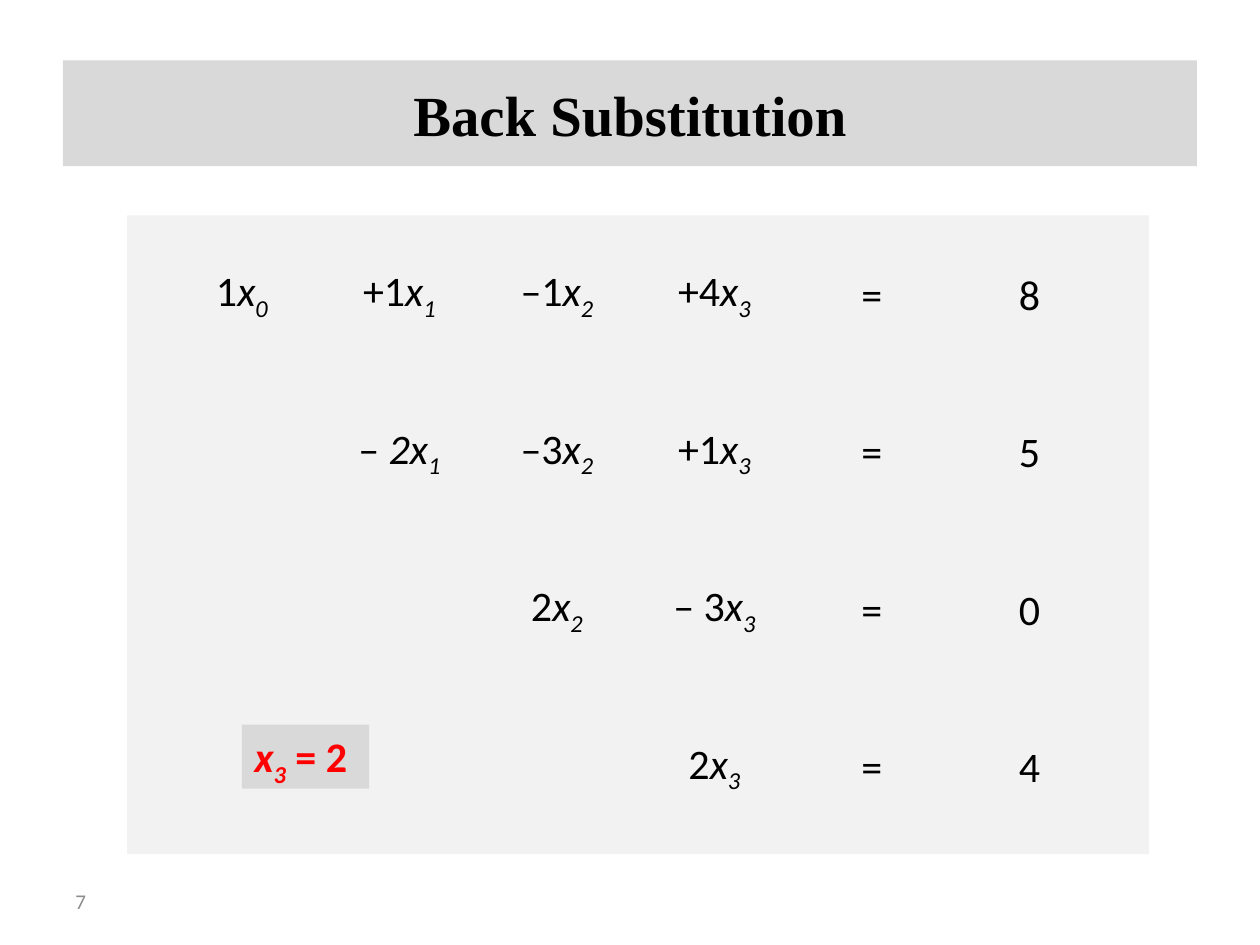
from dataclasses import dataclass

from pptx import Presentation
from pptx import util as u
from pptx.dml.color import RGBColor
from pptx.enum import shapes, text


@dataclass(frozen=True)
class Theme:
    """Colours, fonts and type sizes of the slide."""
    panel: str = "F2F2F2"
    band: str = "D9D9D9"
    ink: str = "000000"
    muted: str = "8C8C8C"
    accent: str = "FF0000"
    heading: str = "Times New Roman"
    body: str = "Calibri"
    title_size: float = 32.4
    body_size: float = 24
    number_size: float = 12


THEME = Theme()
EQUATIONS = [
    [("1", "x", "0"), ("+1", "x", "1"), ("–1", "x", "2"), ("+4", "x", "3"), ("=",), ("8",)],
    [None, ("–", " 2x", "1"), ("–3", "x", "2"), ("+1", "x", "3"), ("=",), ("5",)],
    [None, None, ("2", "x", "2"), ("– 3", "x", "3"), ("=",), ("0",)],
    [None, None, None, ("2", "x", "3"), ("=",), ("4",)],
]


def add_rect(slide, box, color):
    """Add a plain filled rectangle and return it."""
    sp = slide.shapes.add_shape(shapes.MSO_SHAPE.RECTANGLE, *map(u.Inches, box))
    sp.shadow.inherit = False
    sp.fill.solid()
    sp.fill.fore_color.rgb = RGBColor.from_string(color)
    sp.line.fill.background()
    return sp


def add_text_box(slide, box):
    """Add an empty text box and return it."""
    return slide.shapes.add_textbox(*map(u.Inches, box))


def write(sp, parts, size=THEME.body_size, font=THEME.body, color=THEME.ink, bold=False,
          align=text.PP_ALIGN.CENTER, anchor=text.MSO_ANCHOR.MIDDLE, wrap=True):
    """Write (text, italic, subscript) parts as one paragraph in a shape."""
    tf = sp.text_frame
    tf.word_wrap = wrap
    tf.vertical_anchor = anchor
    p = tf.paragraphs[0]
    p.alignment = align
    for content, italic, subscript in parts:
        r = p.add_run()
        r.text = content
        r.font.size = u.Pt(size)
        r.font.name = font
        r.font.bold = bold
        r.font.italic = italic
        r.font.color.rgb = RGBColor.from_string(color)
        if subscript:
            r.font._element.set("baseline", "-25000")


def plain(content):
    """Return one upright part."""
    return [(content, False, False)]


def term(coefficient, variable="", index=""):
    """Return the parts of a term with an italic variable and its index."""
    parts = plain(coefficient)
    if variable:
        parts += [(variable, True, False), (index, True, True)]
    return parts


def add_title(slide, box):
    """Draw the title band."""
    write(add_rect(slide, box, THEME.band), plain("Back Substitution"),
          size=THEME.title_size, font=THEME.heading, bold=True)


def add_system(slide, box, equations, pitch=1.25, cell=1):
    """Draw the panel and set the equations on an even grid within it."""
    add_rect(slide, box, THEME.panel)
    left, top = box[0] + 0.41, box[1] + 0.12
    for row, equation in enumerate(equations):
        for column, entry in enumerate(equation):
            if entry:
                place = (left + column * pitch, top + row * pitch, cell, cell)
                write(add_text_box(slide, place), term(*entry), wrap=False)


def add_solution(slide, box):
    """Draw the highlighted value of the last unknown."""
    parts = [("x", True, False), ("3", True, True), (" = 2", False, False)]
    write(add_rect(slide, box, THEME.band), parts, color=THEME.accent, bold=True,
          align=text.PP_ALIGN.LEFT, anchor=text.MSO_ANCHOR.TOP)


def add_page_number(slide, box):
    """Write the slide number."""
    write(add_text_box(slide, box), plain("7"), size=THEME.number_size,
          color=THEME.muted, align=text.PP_ALIGN.LEFT)


def main():
    """Build the slide and save it."""
    prs = Presentation()
    prs.slide_width, prs.slide_height = u.Inches(10), u.Inches(7.5)
    s = prs.slides.add_slide(prs.slide_layouts[6])
    add_title(s, (0.5, 0.48, 9, 0.84))
    add_system(s, (1.01, 1.71, 8.11, 5.07), EQUATIONS)
    add_solution(s, (1.92, 5.75, 1.01, 0.51))
    add_page_number(s, (0.5, 6.95, 2.33, 0.4))
    prs.save("out.pptx")


if __name__ == "__main__":
    main()
